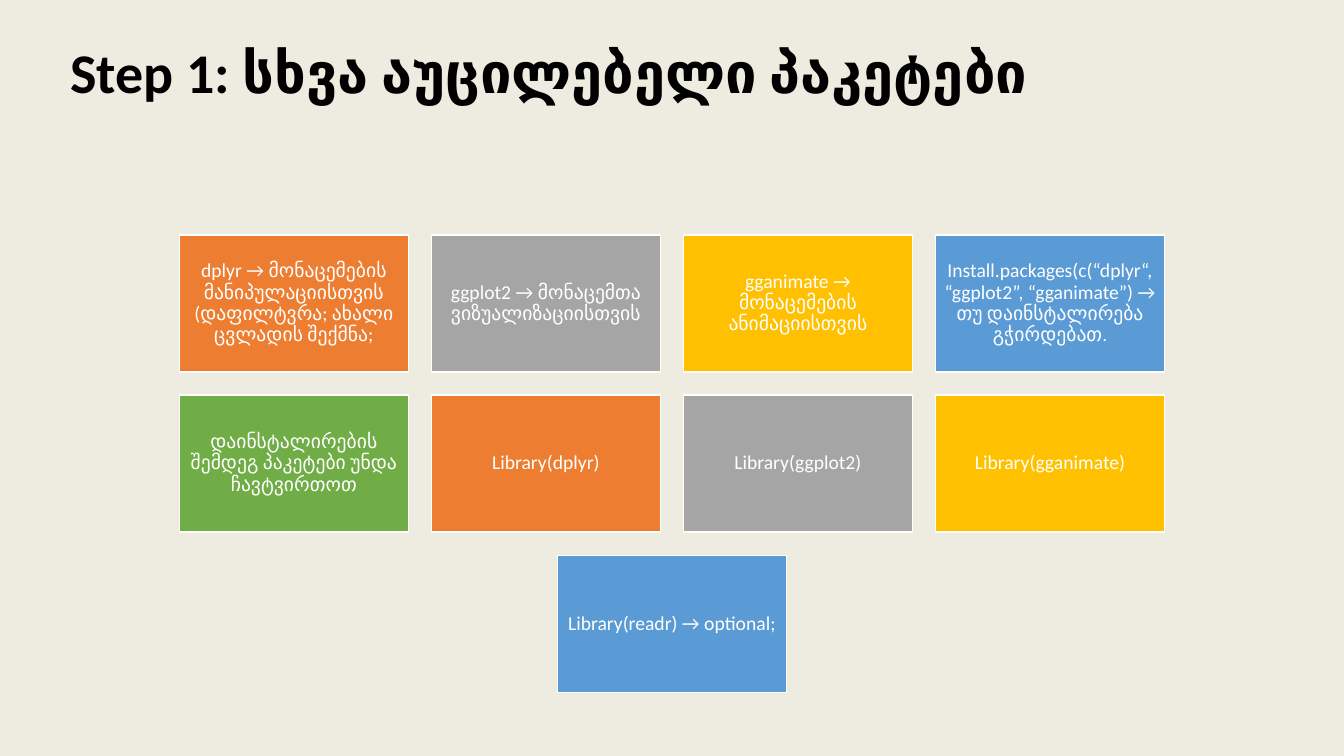
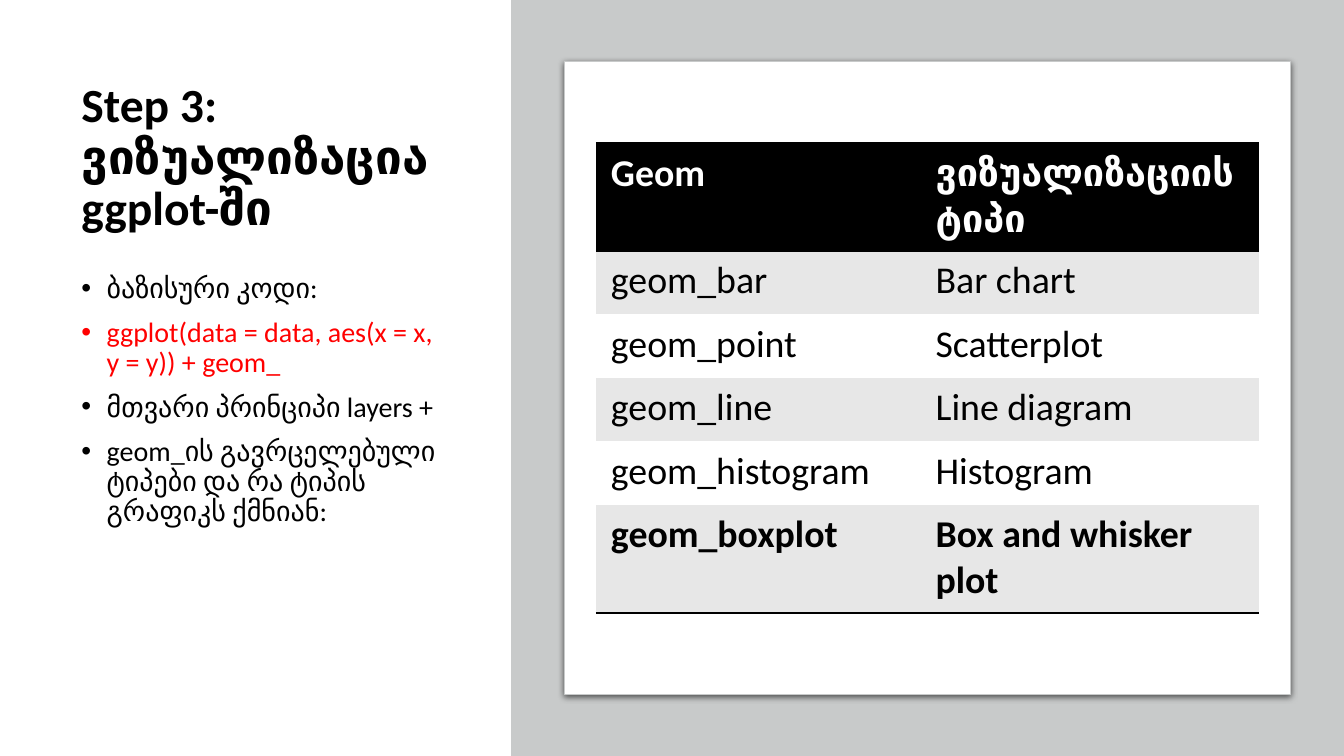
from itertools import cycle
from lxml import etree
from pptx import Presentation
from pptx.dml.color import RGBColor
from pptx.enum.shapes import MSO_SHAPE
from pptx.enum.text import MSO_ANCHOR, PP_ALIGN
from pptx.oxml.ns import qn
from pptx.util import Inches, Pt

RECT = MSO_SHAPE.RECTANGLE
TOP, MID = MSO_ANCHOR.TOP, MSO_ANCHOR.MIDDLE
LEFT, CENTER = PP_ALIGN.LEFT, PP_ALIGN.CENTER
BLACK = RGBColor(0, 0, 0)
WHITE = RGBColor(255, 255, 255)
RED = RGBColor(255, 0, 0)
PALE = RGBColor(0xF2, 0xF2, 0xF2)
GOLD = RGBColor(0xBF, 0x90, 0x00)
MIST = RGBColor(0xC8, 0xCA, 0xCA)
BAND = RGBColor(0xE7, 0xE7, 0xE7)
TINTS = [
    RGBColor(0xED, 0x7D, 0x31),
    RGBColor(0xA5, 0xA5, 0xA5),
    RGBColor(0xFF, 0xC0, 0x00),
    RGBColor(0x5B, 0x9B, 0xD5),
    RGBColor(0x70, 0xAD, 0x47),
]
FONT = "Calibri"
WIDE, HIGH = 13.33, 7.5

STEP1 = "Step 1: სხვა აუცილებელი პაკეტები"
TILES = [
    [
        "dplyr → მონაცემების მანიპულაციისთვის (დაფილტვრა; ახალი ცვლადის შექმნა;",
        "ggplot2 → მონაცემთა ვიზუალიზაციისთვის",
        "gganimate → მონაცემების ანიმაციისთვის",
        "Install.packages(c(“dplyr“, “ggplot2”, “gganimate”) → თუ დაინსტალირება გჭირდებათ.",
    ],
    [
        "დაინსტალირების შემდეგ პაკეტები უნდა ჩავტვირთოთ",
        "Library(dplyr)",
        "Library(ggplot2)",
        "Library(gganimate)",
    ],
    ["Library(readr) → optional;"],
]

STEP3 = "Step 3: ვიზუალიზაცია ggplot-ში"
NOTES = [
    ("ბაზისური კოდი:", BLACK),
    ("ggplot(data = data, aes(x = x, y = y)) + geom_", RED),
    ("მთვარი პრინციპი layers +", BLACK),
    ("geom_ის გავრცელებული ტიპები და რა ტიპის გრაფიკს ქმნიან:", BLACK),
]
GEOMS = [
    ("Geom", "ვიზუალიზაციის ტიპი"),
    ("geom_bar", "Bar chart"),
    ("geom_point", "Scatterplot"),
    ("geom_line", "Line diagram"),
    ("geom_histogram", "Histogram"),
    ("geom_boxplot", "Box and whisker plot"),
]
COLS = [3.22, 3.36]
TALL, LOW = 1.07, 0.63


def apply(item, form):
    for name, value in form.items():
        setattr(item, name, value)


def add(parent, tag, **marks):
    node = etree.SubElement(parent, qn(tag))
    for name, value in marks.items():
        node.set(name, str(value))
    return node


def write(frame, lines, size, bold=False, dot=False, **form):
    apply(frame, {"word_wrap": True, **form})
    for num, (text, color) in enumerate(lines):
        para = frame.add_paragraph() if num else frame.paragraphs[0]
        apply(para, {"line_spacing": 0.9, "alignment": LEFT})
        if dot:
            para.space_before = Pt(10)
            props = para._p.get_or_add_pPr()
            props.set("marL", str(Inches(0.25)))
            props.set("indent", str(-Inches(0.25)))
            add(props, "a:buFont", typeface="Arial")
            add(props, "a:buChar", char="•")
        run = para.add_run()
        run.text = text
        apply(run.font, {"name": FONT, "size": Pt(size), "bold": bold})
        run.font.color.rgb = color


def label(slide, area, lines, size, **form):
    box = slide.shapes.add_textbox(*map(Inches, area))
    write(box.text_frame, lines, size, **form)


def block(slide, area, color, edge=None, width=1):
    shape = slide.shapes.add_shape(RECT, *map(Inches, area))
    shape.shadow.inherit = False
    shape.fill.solid()
    shape.fill.fore_color.rgb = color
    if edge is None:
        shape.line.fill.background()
    else:
        shape.line.color.rgb = edge
        shape.line.width = Pt(width)
    return shape


def border(cell, edges):
    props = cell._tc.get_or_add_tcPr()
    for side in "LRTB":
        if side in edges:
            line = add(props, "a:ln" + side, w=Pt(2))
            add(add(line, "a:solidFill"), "a:srgbClr", val=BLACK)
        else:
            add(add(props, "a:ln" + side, w=0), "a:noFill")


def packs(slide):
    full = (0, 0, WIDE, HIGH)
    block(slide, full, PALE)
    veil = block(slide, full, GOLD)
    tint = next(veil._element.spPr.iter(qn("a:srgbClr")))
    add(tint, "a:alpha", val=7000)
    label(slide, (0.6, 0.4, 12.13, 1.45), [(STEP1, BLACK)], 40,
          bold=True, vertical_anchor=TOP)
    wide, high, gap = 2.27, 1.36, 0.23
    tints = cycle(TINTS)
    pad = dict.fromkeys(
        ("margin_left", "margin_top", "margin_right", "margin_bottom"), Inches(0.06))
    for row, texts in enumerate(TILES):
        start = (WIDE - len(texts) * (wide + gap) + gap) / 2
        for col, text in enumerate(texts):
            area = (start + col * (wide + gap), 2.33 + row * (high + gap), wide, high)
            tile = block(slide, area, next(tints), WHITE)
            write(tile.text_frame, [(text, WHITE)], 14, vertical_anchor=MID, **pad)
            tile.text_frame.paragraphs[0].alignment = CENTER


def charts(slide):
    label(slide, (0.71, 0.69, 3.83, 1.77), [(STEP3, BLACK)], 34,
          bold=True, vertical_anchor=MID)
    label(slide, (0.71, 2.67, 3.83, 4.14), NOTES, 20, dot=True)
    block(slide, (5.07, 0, WIDE - 5.07, HIGH), MIST)
    card = block(slide, (5.6, 0.61, 7.2, 6.28), WHITE, MIST, 0.75)
    glow = add(card._element.spPr.find(qn("a:effectLst")), "a:outerShdw",
               blurRad=Pt(4.5), dist=Pt(1.5), dir=5400000, algn="t", rotWithShape=0)
    add(add(glow, "a:srgbClr", val=BLACK), "a:alpha", val=63000)
    grid(slide)


def grid(slide):
    last = len(GEOMS) - 1
    rows = [TALL if num in (0, last) else LOW for num in range(last + 1)]
    area = (5.91, 1.42, sum(COLS), sum(rows))
    table = slide.shapes.add_table(len(rows), len(COLS), *map(Inches, area)).table
    for col, wide in zip(table.columns, COLS):
        col.width = Inches(wide)
    pad = {"margin_left": Inches(0.15), "margin_right": Inches(0.15),
           "margin_top": Inches(0.07), "margin_bottom": Inches(0.07)}
    for num, texts in enumerate(GEOMS):
        table.rows[num].height = Inches(rows[num])
        head = num == 0
        edges = "TB" if head else "B" if num == last else ""
        for col, text in enumerate(texts):
            cell = table.cell(num, col)
            apply(cell, pad)
            border(cell, edges)
            cell.fill.solid()
            cell.fill.fore_color.rgb = BLACK if head else BAND if num % 2 else WHITE
            write(cell.text_frame, [(text, WHITE if head else BLACK)], 27,
                  bold=num in (0, last))
            cell.text_frame.paragraphs[0].line_spacing = 1.0


deck = Presentation()
apply(deck, {"slide_width": Inches(WIDE), "slide_height": Inches(HIGH)})
for draw in (packs, charts):
    draw(deck.slides.add_slide(deck.slide_layouts[6]))
deck.save("out.pptx")
